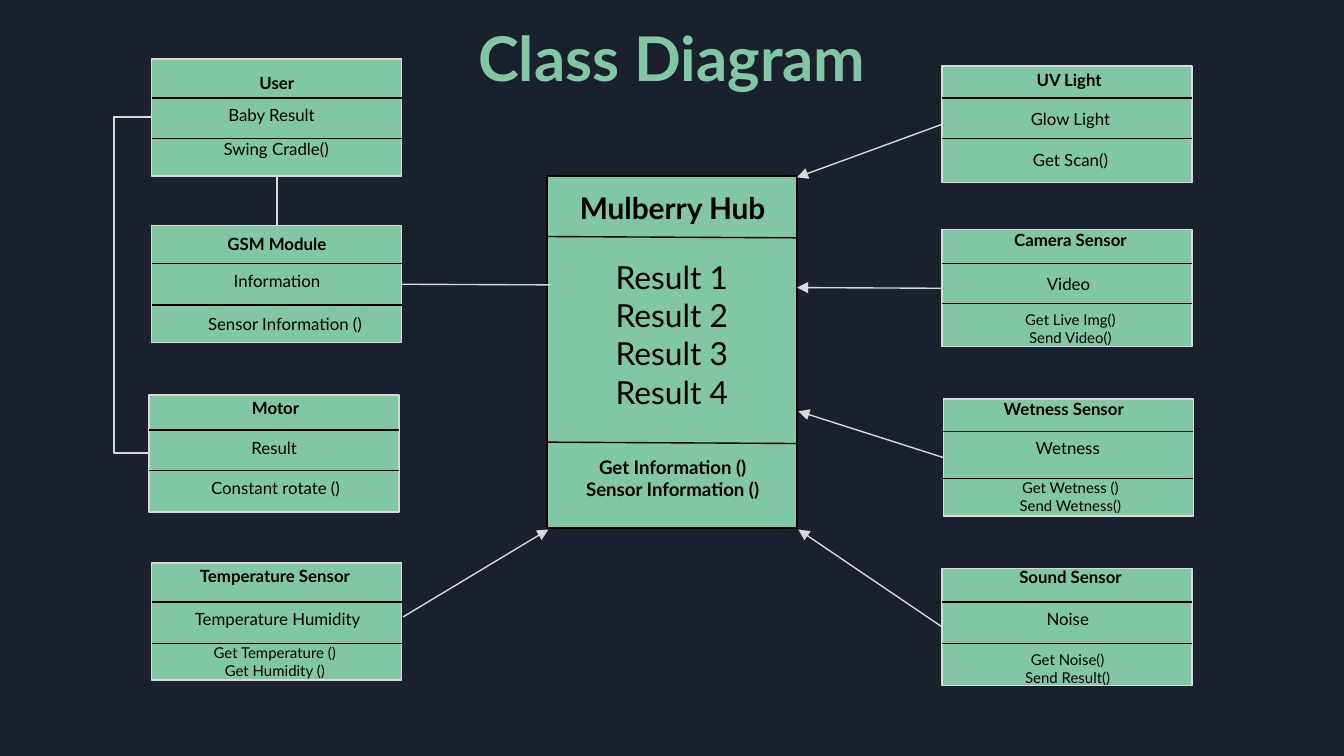
from dataclasses import dataclass
from typing import Optional

from lxml.etree import SubElement
from pptx import Presentation
from pptx.dml.color import RGBColor
from pptx.enum.shapes import MSO_CONNECTOR, MSO_SHAPE
from pptx.enum.text import MSO_ANCHOR, MSO_AUTO_SIZE, PP_ALIGN
from pptx.oxml.ns import qn
from pptx.util import Inches, Pt

COLORS = {"night": "1B212C", "mint": "82C7A5", "grey": "D9D9D9", "black": "000000"}
FONT = "Lato"
TOP, LEFT, BOTTOM, RIGHT = range(4)


@dataclass
class Row:
    text: str
    left: float
    top: float
    width: float
    size: float = 9
    bold: bool = False
    align: PP_ALIGN = PP_ALIGN.CENTER
    height: Optional[float] = None


@dataclass
class ClassCard:
    name: str
    left: float
    top: float
    dividers: tuple[float, float]
    rows: tuple[Row, Row, Row]
    width: float = 1.86
    height: float = 0.87
    border: str = "grey"
    first_divider: str = "black"
    slope: float = 0


@dataclass
class Link:
    source: str
    source_side: int
    end: tuple[float, float]
    target: Optional[str] = None
    target_side: int = TOP
    arrow: bool = True


CARDS = [
    ClassCard("hub", 4.07, 1.31, (1.76, 3.29), (
        Row("Mulberry Hub", 4.15, 1.31, 1.71, 16, True),
        Row("Result 1\nResult 2\nResult 3\nResult 4", 4.38, 1.82, 1.24, 17),
        Row("Get Information ()\nSensor Information ()", 4.23, 3.29, 1.55, 10, True),
    ), height=2.62, border="black", slope=0.01),
    ClassCard("user", 1.13, 0.44, (0.73, 1.03), (
        Row("User", 1.44, 0.44, 1.24, bold=True, height=0.35),
        Row("Baby Result", 1.48, 0.7, 1.08),
        Row("Swing Cradle()", 1.54, 0.96, 1.03),
    )),
    ClassCard("gsm", 1.13, 1.68, (1.96, 2.27), (
        Row("GSM Module", 1.57, 1.66, 0.98, bold=True),
        Row("Information", 1.6, 1.94, 0.92),
        Row("Sensor Information ()", 1.42, 2.26, 1.4),
    )),
    ClassCard("motor", 1.11, 2.94, (3.2, 3.5), (
        Row("Motor", 1.51, 2.88, 1.08, bold=True),
        Row("Result", 1.55, 3.18, 0.98),
        Row("Constant rotate ()", 1.19, 3.48, 1.72),
    )),
    ClassCard("temperature", 1.13, 4.19, (4.48, 4.79), (
        Row("Temperature Sensor", 1.29, 4.13, 1.51, bold=True),
        Row("Temperature Humidity", 1.14, 4.45, 1.85),
        Row("Get Temperature ()\nGet Humidity ()", 1.12, 4.69, 1.85, 8),
    )),
    ClassCard("uv", 7.01, 0.49, (0.73, 1.03), (
        Row("UV Light", 7.37, 0.44, 1.17, bold=True),
        Row("Glow Light", 7.38, 0.73, 1.17),
        Row("Get Scan()", 7.38, 1.04, 1.17),
    )),
    ClassCard("camera", 7.01, 1.71, (1.96, 2.26), (
        Row("Camera Sensor", 7.38, 1.63, 1.17, bold=True),
        Row("Video", 7.41, 1.94, 1.08, height=0.24),
        Row("Get Live Img()\nSend Video()", 7.38, 2.21, 1.17, 8, height=0.42),
    )),
    ClassCard("wetness", 7.02, 2.97, (3.21, 3.56), (
        Row("Wetness Sensor", 7.37, 2.89, 1.17, bold=True, align=PP_ALIGN.LEFT),
        Row("Wetness", 7.36, 3.18, 1.17),
        Row("Get Wetness ()\nSend Wetness()", 7.38, 3.46, 1.17, 8),
    ), first_divider="night"),
    ClassCard("sound", 7.01, 4.23, (4.48, 4.79), (
        Row("Sound Sensor", 7.38, 4.14, 1.17, bold=True),
        Row("Noise", 7.36, 4.45, 1.17),
        Row("Get Noise()\nSend Result()", 7.36, 4.74, 1.17, 8),
    )),
]

LINKS = [
    Link("user", BOTTOM, (2.06, 1.68), "gsm", TOP, arrow=False),
    Link("gsm", RIGHT, (4.1, 2.12), arrow=False),
    Link("uv", LEFT, (5.93, 1.32)),
    Link("camera", LEFT, (5.93, 2.14)),
    Link("wetness", LEFT, (5.94, 3.06)),
    Link("sound", LEFT, (5.94, 3.94)),
]


def color(name: str) -> RGBColor:
    return RGBColor.from_string(COLORS[name])


def write(box, text: str, size: float, bold: bool, name: str, align: PP_ALIGN,
          fitted: bool = False) -> None:
    frame = box.text_frame
    frame.text = text
    frame.word_wrap = True
    frame.auto_size = MSO_AUTO_SIZE.SHAPE_TO_FIT_TEXT if fitted else MSO_AUTO_SIZE.NONE
    frame.vertical_anchor = MSO_ANCHOR.TOP
    frame.margin_left = frame.margin_right = Inches(0.1)
    frame.margin_top = frame.margin_bottom = Inches(0.1)
    for paragraph in frame.paragraphs:
        paragraph.alignment = align
        paragraph.font.name = FONT
        paragraph.font.size = Pt(size)
        paragraph.font.bold = bold
        paragraph.font.color.rgb = color(name)


def draw_line(page, start, end, name: str, kind=MSO_CONNECTOR.STRAIGHT, arrow=False):
    line = page.shapes.add_connector(kind, *map(Inches, (*start, *end)))
    line.line.color.rgb = color(name)
    line.line.width = Pt(0.75)
    properties = line._element.spPr
    if arrow:
        SubElement(properties.find(qn("a:ln")), qn("a:tailEnd"), type="triangle")
    SubElement(properties, qn("a:effectLst"))
    return line


def draw_card(page, card: ClassCard):
    box = page.shapes.add_shape(
        MSO_SHAPE.RECTANGLE, *map(Inches, (card.left, card.top, card.width, card.height)))
    box.shadow.inherit = False
    box.fill.solid()
    box.fill.fore_color.rgb = color("mint")
    box.line.color.rgb = color(card.border)
    box.line.width = Pt(0.75)
    for y, name in zip(card.dividers, (card.first_divider, "black")):
        draw_line(page, (card.left, y), (card.left + card.width, y + card.slope), name)
    for row in card.rows:
        line_count = row.text.count("\n") + 1
        height = row.height or 0.2 + line_count * row.size * 1.2 / 72
        label = page.shapes.add_textbox(
            *map(Inches, (row.left, row.top, row.width, height)))
        write(label, row.text, row.size, row.bold, "black", row.align, row.height is None)
    return box


def draw_link(page, link: Link, boxes: dict) -> None:
    line = draw_line(page, (0, 0), link.end, "grey", arrow=link.arrow)
    line.begin_connect(boxes[link.source], link.source_side)
    if link.target:
        line.end_connect(boxes[link.target], link.target_side)


def draw_side_loop(page, start, end, turn: float) -> None:
    loop = draw_line(page, start, end, "grey", MSO_CONNECTOR.ELBOW)
    ratio = (start[0] - turn) / (start[0] - end[0])
    guides = loop._element.spPr.find(qn("a:prstGeom")).get_or_add_avLst()
    SubElement(guides, qn("a:gd"), name="adj1", fmla=f"val {round(ratio * 100000)}")


def main() -> None:
    deck = Presentation()
    deck.slide_width, deck.slide_height = Inches(10), Inches(10 * 9 / 16)
    page = deck.slides.add_slide(deck.slide_layouts[5])
    page.background.fill.solid()
    page.background.fill.fore_color.rgb = color("night")

    title = page.shapes.title
    title.left, title.top, title.width, title.height = map(Inches, (1.13, 0.05, 7.74, 0.67))
    write(title, "Class Diagram", 33, True, "mint", PP_ALIGN.CENTER)

    boxes = {card.name: draw_card(page, card) for card in CARDS}
    for link in LINKS:
        draw_link(page, link, boxes)
    draw_line(page, (3, 4.59), (4.08, 3.94), "grey", arrow=True)
    draw_side_loop(page, (1.13, 0.87), (1.11, 3.37), 0.85)
    deck.save("out.pptx")


if __name__ == "__main__":
    main()
